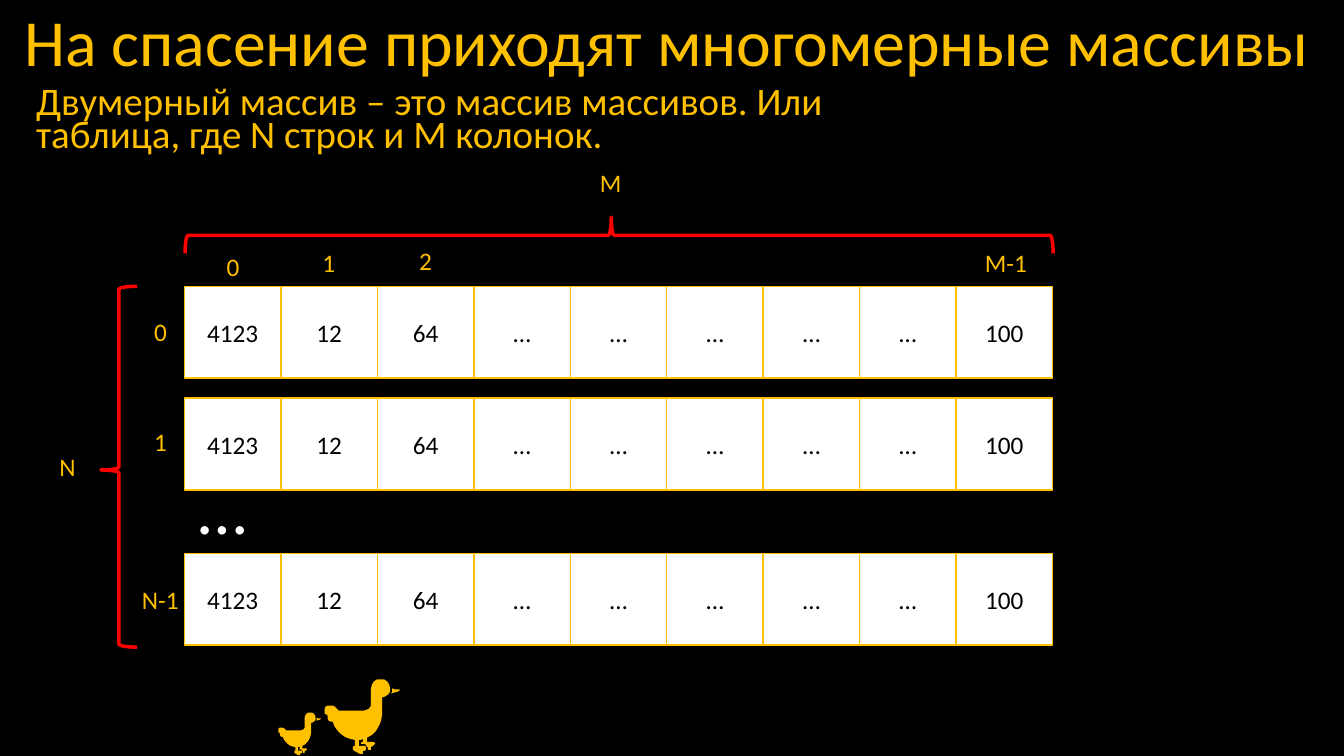
from dataclasses import dataclass

from pptx import Presentation
from pptx.dml.color import RGBColor
from pptx.enum.shapes import MSO_SHAPE
from pptx.enum.text import MSO_ANCHOR, MSO_AUTO_SIZE, PP_ALIGN
from pptx.slide import Slide
from pptx.text.text import TextFrame
from pptx.util import Inches, Pt

GOLD = RGBColor(0xFF, 0xC0, 0x00)
RED = RGBColor(0xFF, 0x00, 0x00)
WHITE = RGBColor(0xFF, 0xFF, 0xFF)
BLACK = RGBColor(0x00, 0x00, 0x00)

LEFT, WIDTH, HEIGHT = 1.83, 8.61, 0.91
ROWS = (2.84, 3.95, 5.49)
CELLS = ("4123", "12", "64", *["…"] * 5, "100")
STEP = WIDTH / len(CELLS)


@dataclass
class Block:
    text: str
    left: float
    top: float
    width: float
    height: float
    size: float
    space: float
    align: PP_ALIGN


@dataclass
class Label:
    text: str
    left: float
    top: float
    width: float
    height: float = 0.4
    size: float = 18
    color: RGBColor = GOLD


@dataclass
class Brace:
    left: float
    top: float
    height: float
    turn: float = 0


@dataclass
class Duck:
    left: float
    top: float
    scale: float


BLOCKS = (
    Block("На спасение приходят многомерные массивы",
          -0.1, 0.04, 13.44, 0.81, 47, 0.9, PP_ALIGN.CENTER),
    Block("Двумерный массив – это массив массивов. Или таблица, где N строк и M колонок.",
          0.26, 0.82, 8.75, 0.79, 27.8, 0.7, PP_ALIGN.LEFT),
)
LABELS = (
    Label("M", 5.85, 1.61, 0.42),
    Label("0", 2.15, 2.44, 0.33),
    Label("1", 3.1, 2.4, 0.33),
    Label("2", 4.06, 2.38, 0.33),
    Label("M-1", 9.67, 2.4, 0.62),
    Label("N", 0.49, 4.43, 0.36),
    Label("0", 1.43, 3.09, 0.33),
    Label("1", 1.43, 4.18, 0.33),
    Label("N-1", 1.31, 5.75, 0.57),
    Label("…", 1.87, 4.56, 0.69, 0.94, 50, WHITE),
)
BRACES = (Brace(1, 2.84, 3.58), Brace(5.96, -1.97, WIDTH, 90))
DUCKS = (Duck(2.76, 7.07, 0.57), Duck(3.22, 6.74, 1))

# Duck outline in inches from its top left corner
BODY = (
    (0.65, 0.09), (0.64, 0.05), (0.62, 0.02), (0.59, 0), (0.56, 0), (0.52, 0),
    (0.49, 0.02), (0.47, 0.05), (0.46, 0.09), (0.46, 0.24), (0.46, 0.26),
    (0.44, 0.29), (0.42, 0.3), (0.39, 0.31), (0.14, 0.31), (0.12, 0.29),
    (0.1, 0.27), (0.08, 0.26), (0.05, 0.26), (0.03, 0.26), (0.01, 0.27),
    (0, 0.29), (0, 0.32), (0, 0.34), (0.02, 0.35), (0.03, 0.36), (0.03, 0.39),
    (0.04, 0.41), (0.06, 0.42), (0.08, 0.42), (0.1, 0.47), (0.13, 0.51),
    (0.16, 0.54), (0.2, 0.57), (0.25, 0.59), (0.3, 0.6), (0.3, 0.66),
    (0.29, 0.66), (0.28, 0.67), (0.28, 0.7), (0.35, 0.74), (0.38, 0.74),
    (0.38, 0.71), (0.39, 0.71), (0.41, 0.7), (0.41, 0.67), (0.4, 0.66),
    (0.34, 0.66), (0.34, 0.6), (0.36, 0.6), (0.38, 0.59), (0.38, 0.62),
    (0.37, 0.62), (0.36, 0.63), (0.36, 0.64), (0.4, 0.64), (0.43, 0.68),
    (0.43, 0.7), (0.46, 0.7), (0.46, 0.67), (0.48, 0.66), (0.5, 0.64),
    (0.5, 0.63), (0.48, 0.62), (0.42, 0.62), (0.42, 0.58), (0.47, 0.55),
    (0.51, 0.51), (0.54, 0.46), (0.56, 0.41), (0.57, 0.35), (0.57, 0.31),
    (0.57, 0.18), (0.6, 0.17), (0.63, 0.15), (0.65, 0.12),
)
BEAK = ((0.75, 0.1), (0.7, 0.1), (0.67, 0.09), (0.67, 0.12), (0.66, 0.14),
        (0.73, 0.12))


def write(frame: TextFrame, text: str, size: float, color: RGBColor,
          align: PP_ALIGN = PP_ALIGN.LEFT) -> None:
    frame.text = text
    line = frame.paragraphs[0]
    line.alignment = align
    font = line.runs[0].font
    font.name, font.size = "Calibri", Pt(size)
    font.color.rgb = color


def add_block(slide: Slide, block: Block) -> None:
    box = slide.shapes.add_textbox(Inches(block.left), Inches(block.top),
                                   Inches(block.width), Inches(block.height))
    frame = box.text_frame
    frame.word_wrap = True
    frame.vertical_anchor = MSO_ANCHOR.MIDDLE
    write(frame, block.text, block.size, GOLD, block.align)
    frame.paragraphs[0].line_spacing = block.space


def add_label(slide: Slide, label: Label) -> None:
    box = slide.shapes.add_textbox(Inches(label.left), Inches(label.top),
                                   Inches(label.width), Inches(label.height))
    frame = box.text_frame
    frame.word_wrap = False
    frame.auto_size = MSO_AUTO_SIZE.SHAPE_TO_FIT_TEXT
    write(frame, label.text, label.size, label.color)


def add_cell(slide: Slide, text: str, left: float, top: float) -> None:
    cell = slide.shapes.add_shape(MSO_SHAPE.RECTANGLE, Inches(left), Inches(top),
                                  Inches(STEP), Inches(HEIGHT))
    cell.shadow.inherit = False
    cell.fill.solid()
    cell.fill.fore_color.rgb = WHITE
    cell.line.color.rgb = GOLD
    cell.line.width = Pt(1)
    cell.text_frame.vertical_anchor = MSO_ANCHOR.MIDDLE
    write(cell.text_frame, text, 18, BLACK, PP_ALIGN.CENTER)


def add_brace(slide: Slide, brace: Brace) -> None:
    shape = slide.shapes.add_shape(MSO_SHAPE.LEFT_BRACE, Inches(brace.left),
                                   Inches(brace.top), Inches(0.36),
                                   Inches(brace.height))
    shape.adjustments[0], shape.adjustments[1] = 0.083, 0.509
    shape.rotation = brace.turn
    shape.shadow.inherit = False
    shape.fill.background()
    shape.line.color.rgb = RED
    shape.line.width = Pt(2.5)


def add_ducks(slide: Slide) -> None:
    paths = [[(Inches(duck.left + x * duck.scale), Inches(duck.top + y * duck.scale))
              for x, y in part] for duck in DUCKS for part in (BODY, BEAK)]
    pen = slide.shapes.build_freeform(*paths[0][0])
    pen.add_line_segments(paths[0][1:])
    for path in paths[1:]:
        pen.move_to(*path[0])
        pen.add_line_segments(path[1:])
    shape = pen.convert_to_shape()
    shape.shadow.inherit = False
    shape.fill.solid()
    shape.fill.fore_color.rgb = GOLD
    shape.line.fill.background()


def main() -> None:
    deck = Presentation()
    deck.slide_width, deck.slide_height = Inches(13.33), Inches(7.5)
    slide = deck.slides.add_slide(deck.slide_layouts[6])
    slide.background.fill.solid()
    slide.background.fill.fore_color.rgb = BLACK

    # Ducks and headings
    add_ducks(slide)
    for block in BLOCKS:
        add_block(slide, block)

    # Rows of the array
    for top in ROWS:
        for col, text in enumerate(CELLS):
            add_cell(slide, text, LEFT + col * STEP, top)

    # Braces and index labels
    for brace in BRACES:
        add_brace(slide, brace)
    for label in LABELS:
        add_label(slide, label)

    deck.save("out.pptx")


if __name__ == "__main__":
    main()
